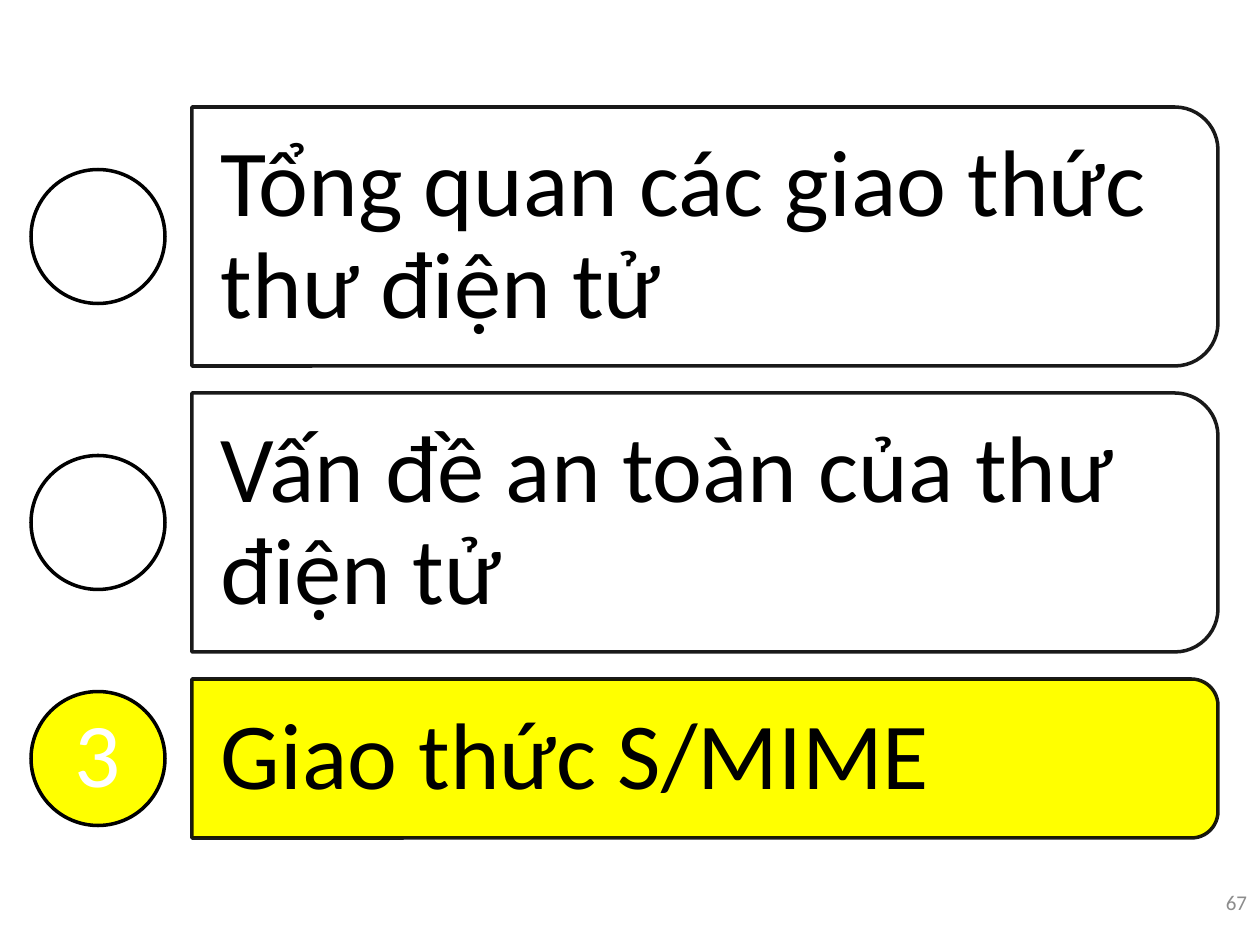
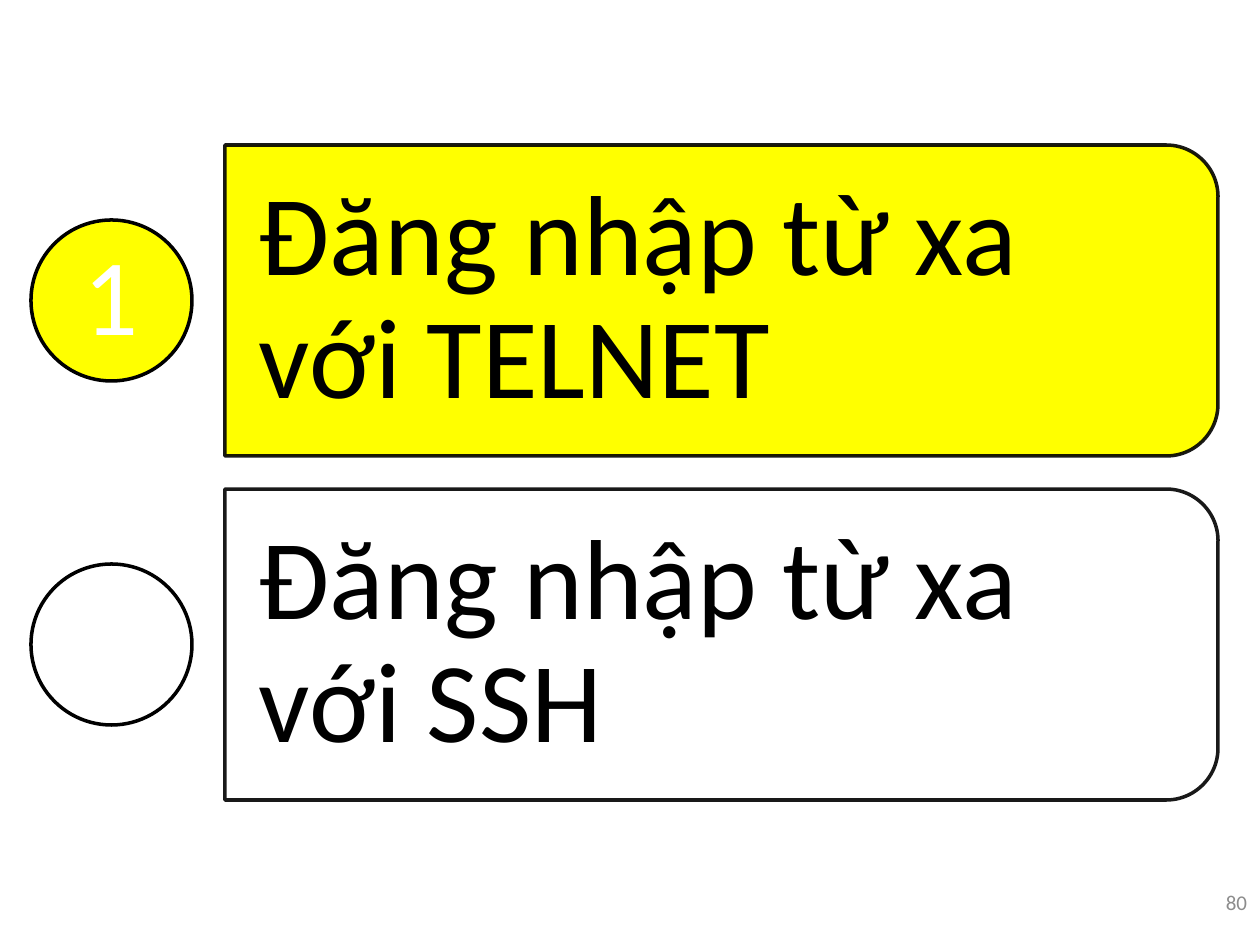
from dataclasses import dataclass

from lxml import etree
from pptx import Presentation
from pptx.dml.color import RGBColor
from pptx.enum.shapes import MSO_SHAPE
from pptx.enum.text import MSO_ANCHOR, PP_ALIGN
from pptx.oxml.ns import qn
from pptx.util import Pt

CARD = MSO_SHAPE.ROUND_2_SAME_RECTANGLE
OVAL = MSO_SHAPE.OVAL
MIDDLE = MSO_ANCHOR.MIDDLE
LEFT, CENTER, RIGHT = PP_ALIGN.LEFT, PP_ALIGN.CENTER, PP_ALIGN.RIGHT

SCALE = 914400 / 126
WIDE, HIGH = 1260, 945
EDGE, END = 31, 1218
INSET = 0.049


@dataclass(frozen=True)
class Theme:
    font: str = "Calibri"
    ink: str = "000000"
    paper: str = "FFFFFF"
    mark: str = "FFFF00"
    gray: str = "8C8C8C"
    rule: int = 2
    alpha: int = 90
    page: int = 12


@dataclass(frozen=True)
class Style:
    text: int
    digit: int
    ring: int
    gap: int
    side: int
    head: int


THEME = Theme()
THREE = Style(text=54, digit=52, ring=134, gap=27, side=29, head=19)
TWO = Style(text=65, digit=62, ring=161, gap=33, side=34, head=23)


def px(count):
    return round(count * SCALE)


def box(*sides):
    return [px(side) for side in sides]


def fade(fill):
    color = fill._xPr.find(".//" + qn("a:srgbClr"))
    etree.SubElement(color, qn("a:alpha"), val=str(THEME.alpha * 1000))


def draw(slide, kind, place, color):
    shape = slide.shapes.add_shape(kind, *box(*place))
    shape.shadow.inherit = False
    shape.fill.solid()
    shape.fill.fore_color.rgb = RGBColor.from_string(color)
    shape.line.color.rgb = RGBColor.from_string(THEME.ink)
    shape.line.width = Pt(THEME.rule)
    return shape


def write(shape, text, size, color, align, side=0, head=0, pitch=0.9):
    frame = shape.text_frame
    frame.word_wrap = True
    frame.vertical_anchor = MIDDLE
    frame.margin_left = frame.margin_right = px(side)
    frame.margin_top = frame.margin_bottom = px(head)
    para = frame.paragraphs[0]
    para.alignment = align
    para.line_spacing = pitch
    run = para.add_run()
    run.text = text
    run.font.name = THEME.font
    run.font.size = Pt(size)
    run.font.color.rgb = RGBColor.from_string(color)


def add_card(slide, style, top, tall, text, color):
    left = EDGE + style.ring + style.gap
    width = END - left
    turn = (width - tall) / 2
    card = draw(slide, CARD, (left + turn, top - turn, tall, width), color)
    card.rotation = 90
    fade(card.line.fill)
    if color == THEME.paper:
        fade(card.fill)
    pad = round(tall * INSET)
    label = slide.shapes.add_textbox(
        *box(left, top + pad, width - pad, tall - 2 * pad))
    write(label, text, style.text, THEME.ink, LEFT, style.side, style.head)


def add_ring(slide, style, mid, color, digit):
    size = style.ring
    ring = draw(slide, OVAL, (EDGE, mid - size / 2, size, size), color)
    if digit:
        write(ring, digit, style.digit, THEME.paper, CENTER)


def add_page(slide, number):
    label = slide.shapes.add_textbox(*box(1176, 859, 84, 86))
    write(label, number, THEME.page, THEME.gray, RIGHT, 13, 6, 1.0)


def add_agenda(deck, style, items, active, page):
    slide = deck.slides.add_slide(deck.slide_layouts[6])
    total = sum(tall for _, tall in items) + style.gap * (len(items) - 1)
    top = (HIGH - total) / 2
    for order, (text, tall) in enumerate(items, 1):
        live = order == active
        color = THEME.mark if live else THEME.paper
        add_card(slide, style, top, tall, text, color)
        add_ring(slide, style, top + tall / 2, color, str(order) if live else "")
        top += tall + style.gap
    add_page(slide, page)


def main():
    deck = Presentation()
    deck.slide_width, deck.slide_height = box(WIDE, HIGH)
    add_agenda(deck, THREE, [
        ("Tổng quan các giao thức thư điện tử", 259),
        ("Vấn đề an toàn của thư điện tử", 259),
        ("Giao thức S/MIME", 159),
    ], 3, "67")
    add_agenda(deck, TWO, [
        ("Đăng nhập từ xa với TELNET", 311),
        ("Đăng nhập từ xa với SSH", 311),
    ], 1, "80")
    deck.save("out.pptx")


if __name__ == "__main__":
    main()
